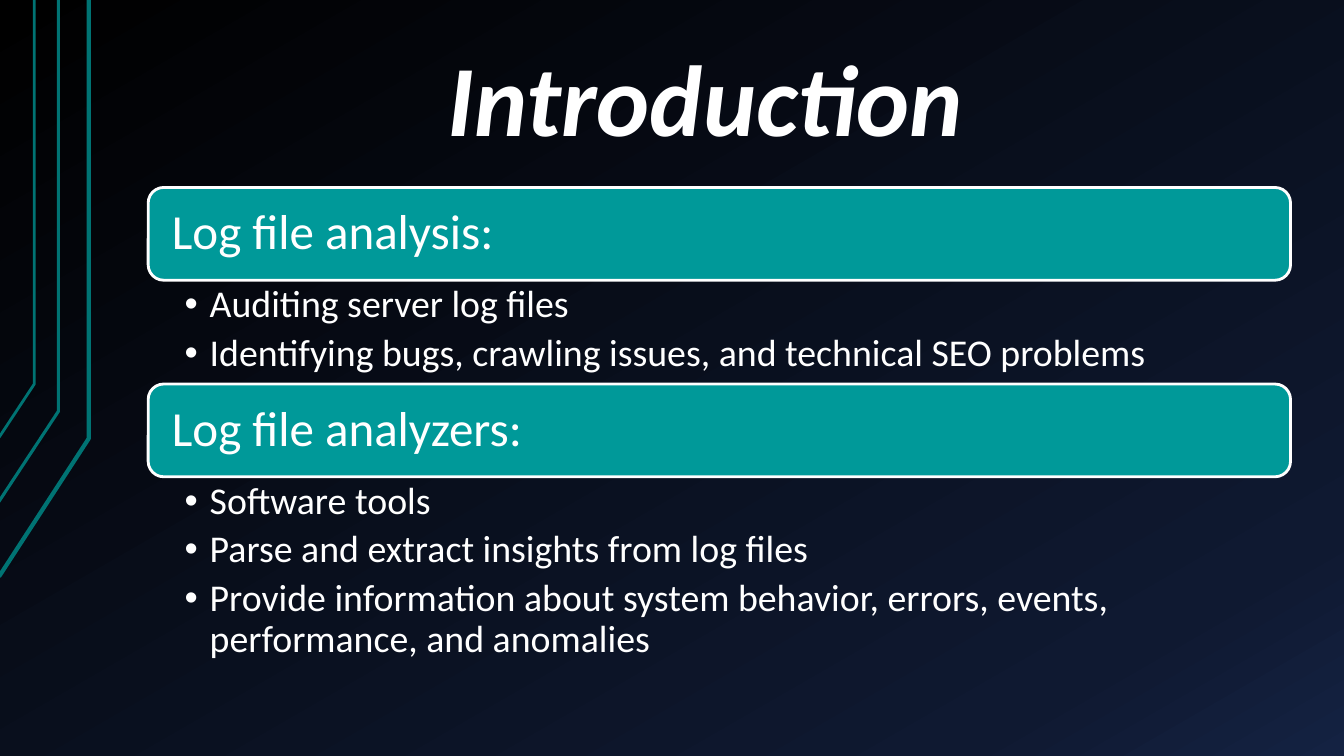
from copy import deepcopy
from pptx import Presentation
from pptx.dml.color import RGBColor
from pptx.enum.shapes import MSO_SHAPE as Shape
from pptx.enum.text import MSO_ANCHOR as Anchor, MSO_AUTO_SIZE as Fit, PP_ALIGN as Align
from pptx.oxml.ns import qn
from pptx.util import Inches, Pt

LEFT, WIDTH, BAR = 1.47, 11.33, 0.92

RAILS = [
    (3, [(-0.01, 5.72), (0.88, 4.35), (0.88, 0)]),
    (2.25, [(-0.02, 4.99), (0.58, 4.08), (0.58, 0)]),
    (2, [(-0.01, 4.34), (0.34, 3.81), (0.34, 0)]),
]

PARTS = [
    (1.86, 1.03, "Log file analysis:", [
        "Auditing server log files",
        "Identifying bugs, crawling issues, and technical SEO problems",
    ]),
    (3.81, 1.94, "Log file analyzers:", [
        "Software tools",
        "Parse and extract insights from log files",
        "Provide information about system behavior, errors, events, "
        "performance, and anomalies",
    ]),
]


def color(code):
    return RGBColor.from_string(code)


class Deck:
    font = "Calibri"
    white = "FFFFFF"
    teal = "009999"
    rail = "007373"

    def __init__(self):
        self.prs = Presentation()
        self.prs.slide_width = Inches(13.33)
        self.prs.slide_height = Inches(7.5)
        self.slide = self.prs.slides.add_slide(self.prs.slide_layouts[3])
        self.shapes = self.slide.shapes

    def place(self, item, x, y, w, h):
        item.left, item.top = Inches(x), Inches(y)
        item.width, item.height = Inches(w), Inches(h)

    def frame(self, item, anchor, left, top, right, bottom):
        box = item.text_frame
        box.word_wrap = True
        box.auto_size = Fit.NONE
        box.vertical_anchor = anchor
        box.margin_left, box.margin_top = Inches(left), Inches(top)
        box.margin_right, box.margin_bottom = Inches(right), Inches(bottom)
        return box

    def style(self, para, size, align=Align.LEFT):
        para.alignment = align
        para.line_spacing = 0.9
        para.space_before = Pt(0)
        para.font.name = self.font
        para.font.size = Pt(size)
        para.font.color.rgb = color(self.white)

    def back(self, stops, angle):
        fill = self.slide.background.fill
        fill.gradient()
        fill.gradient_angle = 360 - angle
        last = list(self.slide.element.iter(qn("a:gs")))[-1]
        last.addnext(deepcopy(last))
        for stop, (pos, code) in zip(fill.gradient_stops, stops):
            stop.position = pos
            stop.color.rgb = color(code)

    def path_line(self, points, width):
        dots = [(Inches(x), Inches(y)) for x, y in points]
        pen = self.shapes.build_freeform(*dots[0])
        pen.add_line_segments(dots[1:], close=False)
        line = pen.convert_to_shape()
        line.shadow.inherit = False
        line.fill.background()
        line.line.color.rgb = color(self.rail)
        line.line.width = Pt(width)

    def title(self, text):
        item = self.shapes.title
        self.place(item, 1.33, 0.3, 11.33, 1.34)
        box = self.frame(item, Anchor.BOTTOM, 0.13, 0.07, 0.13, 0.07)
        box.text = text
        para = box.paragraphs[0]
        self.style(para, 72, Align.CENTER)
        para.font.bold = para.font.italic = True

    def bar(self, y, text):
        item = self.shapes.add_shape(
            Shape.ROUNDED_RECTANGLE, Inches(LEFT), Inches(y), Inches(WIDTH), Inches(BAR))
        item.shadow.inherit = False
        item.fill.solid()
        item.fill.fore_color.rgb = color(self.teal)
        item.line.color.rgb = color(self.white)
        item.line.width = Pt(2)
        box = self.frame(item, Anchor.MIDDLE, 0.19, 0.19, 0.19, 0.19)
        box.text = text
        self.style(box.paragraphs[0], 35)

    def bullets(self, slot, y, h, lines):
        item = self.slide.placeholders[slot]
        self.place(item, LEFT, y, WIDTH, h)
        box = self.frame(item, Anchor.TOP, 0.36, 0.05, 0.27, 0.05)
        box.text = "\n".join(lines)
        for para in box.paragraphs:
            self.style(para, 27)
            para.space_after = Pt(5.4)
            props = para._p.get_or_add_pPr()
            props.set("marL", str(Inches(0.25)))
            props.set("indent", str(Inches(-0.25)))

    def save(self):
        self.prs.save("out.pptx")


def main():
    deck = Deck()
    deck.back([(0, "000000"), (0.85, "0F1931"), (1, "142242")], 60)
    for width, points in RAILS:
        deck.path_line(points, width)
    deck.title("Introduction")
    for slot, (y, h, head, lines) in enumerate(PARTS, 1):
        deck.bar(y, head)
        deck.bullets(slot, y + BAR, h, lines)
    deck.save()


if __name__ == "__main__":
    main()
